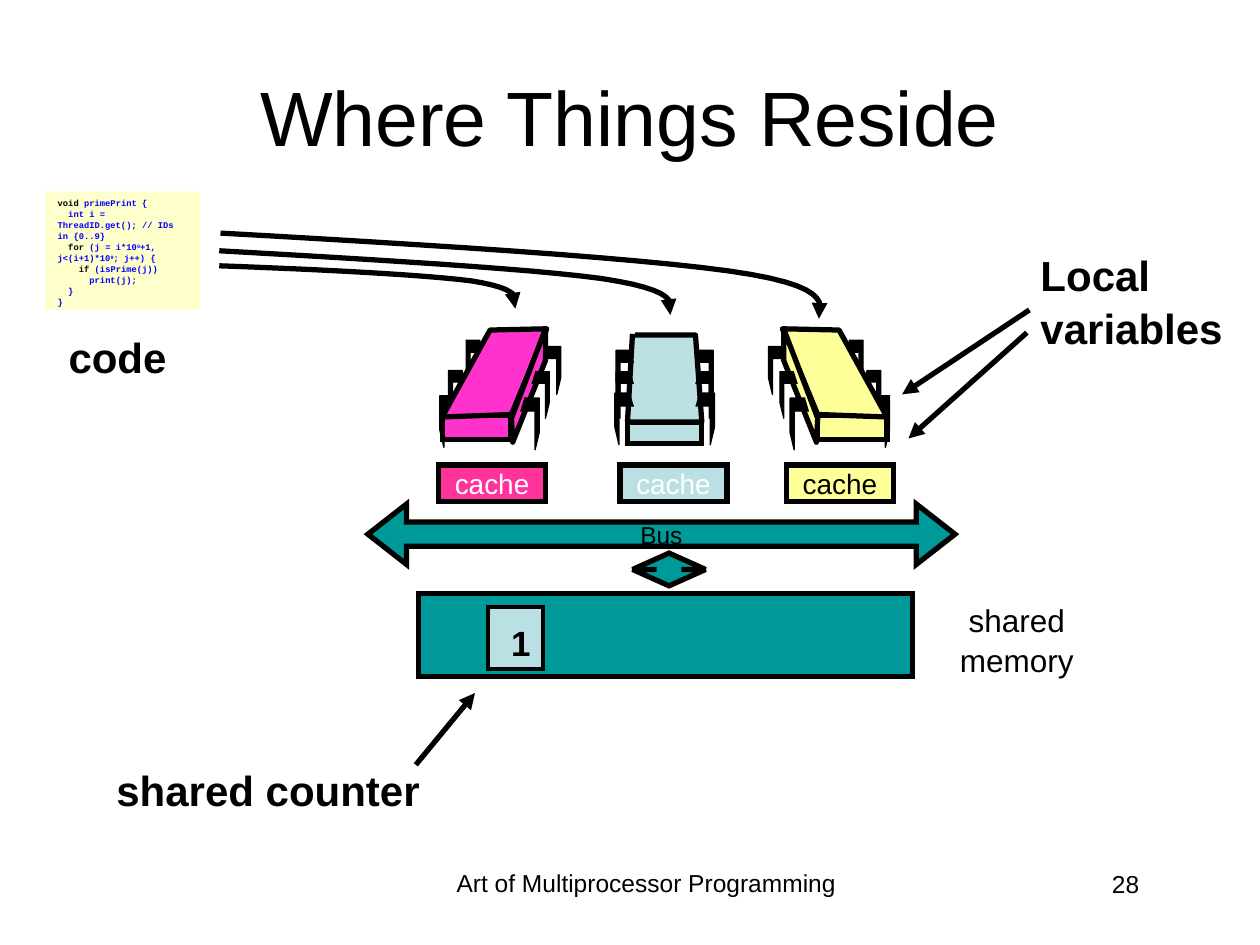
"""Build the slide that shows where code, variables and memory reside."""
from lxml import etree
from pptx import Presentation
from pptx import util as u
from pptx.dml import color as dml
from pptx.enum import shapes, text
from pptx.oxml import ns

BLACK, WHITE, BLUE, NAVY = "000000", "FFFFFF", "0000FF", "333399"
TEAL, PALE, YELLOW, PINK = "009999", "BBE0E3", "FFFF99", "FF33CC"
LEFT, CENTER, RIGHT = text.PP_ALIGN.LEFT, text.PP_ALIGN.CENTER, text.PP_ALIGN.RIGHT
TOP, MIDDLE = text.MSO_ANCHOR.TOP, text.MSO_ANCHOR.MIDDLE
PRESET = shapes.MSO_SHAPE
MIRROR = 10.55


def paint(shape, fill=None, line=BLACK, weight=3, join="miter", arrow=False):
    if fill:
        shape.fill.solid()
        shape.fill.fore_color.rgb = dml.RGBColor.from_string(fill)
    elif hasattr(shape, "fill"):
        shape.fill.background()
    if line:
        shape.line.color.rgb = dml.RGBColor.from_string(line)
        shape.line.width = u.Pt(weight)
        outline = shape.line._get_or_add_ln()
        etree.SubElement(outline, ns.qn(f"a:{join}"))
        if arrow:
            etree.SubElement(outline, ns.qn("a:tailEnd"), type="triangle")
    else:
        shape.line.fill.background()
    etree.SubElement(shape._element.spPr, ns.qn("a:effectLst"))


def write(box, lines, size, font="Arial", color=BLACK, bold=False, align=CENTER,
          anchor=TOP, wrap=False, spacing=1.05):
    frame = box.text_frame
    frame.word_wrap = wrap
    frame.vertical_anchor = anchor
    for index, line in enumerate(lines):
        para = frame.paragraphs[0] if index == 0 else frame.add_paragraph()
        para.alignment = align
        para.line_spacing = spacing
        for words, shade, raised in [(line, color, False)] if isinstance(line, str) else line:
            span = para.add_run()
            span.text = words
            span.font.name = font
            span.font.size = u.Pt(size)
            span.font.bold = bold
            span.font.color.rgb = dml.RGBColor.from_string(shade)
            if raised:
                span._r.get_or_add_rPr().set("baseline", "30000")


deck = Presentation()
deck.slide_width, deck.slide_height = u.Inches(10), u.Inches(7.5)
page = deck.slides.add_slide(deck.slide_layouts[6])

labels = [
    ((0.75, 0.29, 8.5, 1.25), ["Where Things Reside"],
     dict(size=44, anchor=MIDDLE, wrap=True, spacing=1)),
    ((3.42, 6.83, 3.42, 0.52), ["Art of Multiprocessor Programming"], dict(size=14)),
    ((7.06, 6.84, 2.08, 0.5), ["28"], dict(size=14, align=RIGHT, wrap=True)),
    ((0.81, 6, 2.62, 0.5), ["shared counter"], dict(size=24, bold=True, align=RIGHT)),
    ((7.51, 4.71, 1.11, 0.7), ["shared ", "memory"], dict(size=18, align=RIGHT)),
    ((0.43, 2.56, 0.99, 0.5), ["code"], dict(size=24, bold=True, align=RIGHT)),
    ((8.16, 1.91, 1.66, 0.91), ["Local", "variables"], dict(size=24, bold=True, align=LEFT)),
]
for place, lines, style in labels:
    box = page.shapes.add_textbox(*map(u.Inches, place))
    write(box, lines, **style)

chip_fronts = [
    ((4.98, 3.35, 0.59, 0.17), PALE),
    ((3.51, 3.3, 0.54, 0.19), PINK),
    ((6.49, 3.3, 0.55, 0.19), YELLOW),
]
for place, fill in chip_fronts:
    front = page.shapes.add_shape(PRESET.RECTANGLE, *map(u.Inches, place))
    paint(front, fill)

leg_sizes = [(0.15, 0.41), (0.14, 0.37), (0.14, 0.38)]
leg_outline = [(0.8, 0), (0, 0), (0, 0.66), (0.22, 1), (0.22, 0.25), (1, 0.25)]
leg_rows = {
    "middle": [(4.88, 3.12), (4.89, 2.95), (4.89, 2.78)],
    "back": [(3.49, 3.14), (3.56, 2.94), (3.7, 2.7)],
    "front": [(6.27, 3.16), (6.19, 2.95), (6.1, 2.75)],
}
legs = {
    row: [[(x + w * across, y + h * down) for across, down in leg_outline]
          for (x, y), (w, h) in zip(corners, leg_sizes)]
    for row, corners in leg_rows.items()
}
mirrored = {row: [[(MIRROR - x, y) for x, y in leg] for leg in group]
            for row, group in legs.items()}
slant_top = [(3.51, 3.31), (4.06, 3.29), (4.34, 2.61), (3.89, 2.62), (3.51, 3.31)]
slant_side = [(4.33, 2.61), (4.33, 2.86), (4.07, 3.51), (4.06, 3.32), (4.33, 2.61)]
middle_top = [(5.04, 2.66), (5.52, 2.66), (5.57, 3.35), (4.98, 3.35), (5.02, 2.65)]

outlines = [(middle_top, PALE, 3)]
outlines += [(leg, BLACK, 0.75) for leg in mirrored["middle"] + legs["middle"]]
for fill, back, front, flip in [(PINK, legs["back"], mirrored["front"], False),
                                (YELLOW, mirrored["back"], legs["front"], True)]:
    outlines += [(leg, BLACK, 0.75) for leg in back]
    for face in (slant_top, slant_side):
        outlines.append(([(MIRROR - x if flip else x, y) for x, y in face], fill, 3))
    outlines += [(leg, BLACK, 0.75) for leg in front]

code_curves = [
    [(1.74, 1.99), (2.96, 2.06), (4.18, 2.13), (4.77, 2.21), (5.37, 2.3), (5.34, 2.4), (5.32, 2.5)],
    [(1.75, 1.85), (3.36, 1.94), (4.98, 2.04), (5.78, 2.15), (6.57, 2.26), (6.53, 2.4), (6.5, 2.53)],
    [(1.74, 2.11), (2.55, 2.14), (3.35, 2.18), (3.74, 2.23), (4.13, 2.29), (4.11, 2.37), (4.09, 2.45)],
]
STEPS = 12
for controls in code_curves:
    points = [controls[0]]
    for start in (0, 3):
        a, b, c, d = controls[start:start + 4]
        for step in range(1, STEPS + 1):
            t = step / STEPS
            weights = ((1 - t) ** 3, 3 * t * (1 - t) ** 2, 3 * t ** 2 * (1 - t), t ** 3)
            points.append(tuple(sum(k * p[axis] for k, p in zip(weights, (a, b, c, d)))
                                for axis in (0, 1)))
    outlines.append((points, None, 3))

for points, fill, weight in outlines:
    corners = [(u.Inches(x), u.Inches(y)) for x, y in points]
    builder = page.shapes.build_freeform(*corners[0])
    builder.add_line_segments(corners[1:], close=bool(fill) and points[0] == points[-1])
    paint(builder.convert_to_shape(), fill, weight=weight, join="round", arrow=fill is None)

blocks = [
    (PRESET.LEFT_RIGHT_ARROW, (2.92, 4, 4.66, 0.48), TEAL, 3, (0.4, 0.64), "Bus", 14, BLACK),
    (PRESET.RECTANGLE, (3.32, 4.71, 3.92, 0.66), TEAL, 3, (), "", 14, BLACK),
    (PRESET.UP_DOWN_ARROW, (5.02, 4.39, 0.58, 0.26), TEAL, 3, (0.5, 0.34), "", 14, BLACK),
    (PRESET.RECTANGLE, (3.48, 3.69, 0.85, 0.29), "FF3399", 3, (), "cache", 16, WHITE),
    (PRESET.RECTANGLE, (4.92, 3.69, 0.85, 0.29), PALE, 3, (), "cache", 16, WHITE),
    (PRESET.RECTANGLE, (6.24, 3.69, 0.85, 0.29), YELLOW, 3, (), "cache", 16, BLACK),
    (PRESET.RECTANGLE, (3.87, 4.82, 0.44, 0.49), PALE, 2.25, (), "", 14, BLACK),
]
for kind, place, fill, weight, adjustments, words, size, color in blocks:
    block = page.shapes.add_shape(kind, *map(u.Inches, place))
    for index, value in enumerate(adjustments):
        block.adjustments[index] = value
    paint(block, fill, weight=weight)
    if words:
        write(block, [words], size, color=color, anchor=MIDDLE, spacing=1)

counter = page.shapes.add_textbox(*map(u.Inches, (3.94, 4.87, 0.37, 0.43)))
write(counter, ["1"], 20, bold=True, align=RIGHT)

code_lines = [
    [("void ", BLACK, False), ("primePrint {", BLUE, False)],
    "  int i = ThreadID.get(); // IDs in {0..9}",
    [("  for ", BLACK, False), ("(j = i*10", BLUE, False), ("9", BLUE, True),
     ("+1, j<(i+1)*10", BLUE, False), ("9", BLUE, True), ("; j++) {", BLUE, False)],
    [("    ", NAVY, False), ("if ", BLACK, False), ("(isPrime(j))", BLUE, False)],
    [("      ", NAVY, False), ("print(j);", BLUE, False)],
    "  }",
    "}",
]
code = page.shapes.add_shape(PRESET.RECTANGLE, *map(u.Inches, (0.36, 1.52, 1.23, 0.94)))
paint(code, "FFFFCC", line=None)
write(code, code_lines, 5, font="Courier New", color=BLUE, bold=True, align=LEFT, wrap=True)

for ends in [(3.3, 6.07, 3.77, 5.5), (8.17, 2.46, 7.16, 3.13), (8.15, 2.64, 7.21, 3.48)]:
    pointer = page.shapes.add_connector(shapes.MSO_CONNECTOR.STRAIGHT, *map(u.Inches, ends))
    paint(pointer, join="round", arrow=True)

deck.save("out.pptx")
